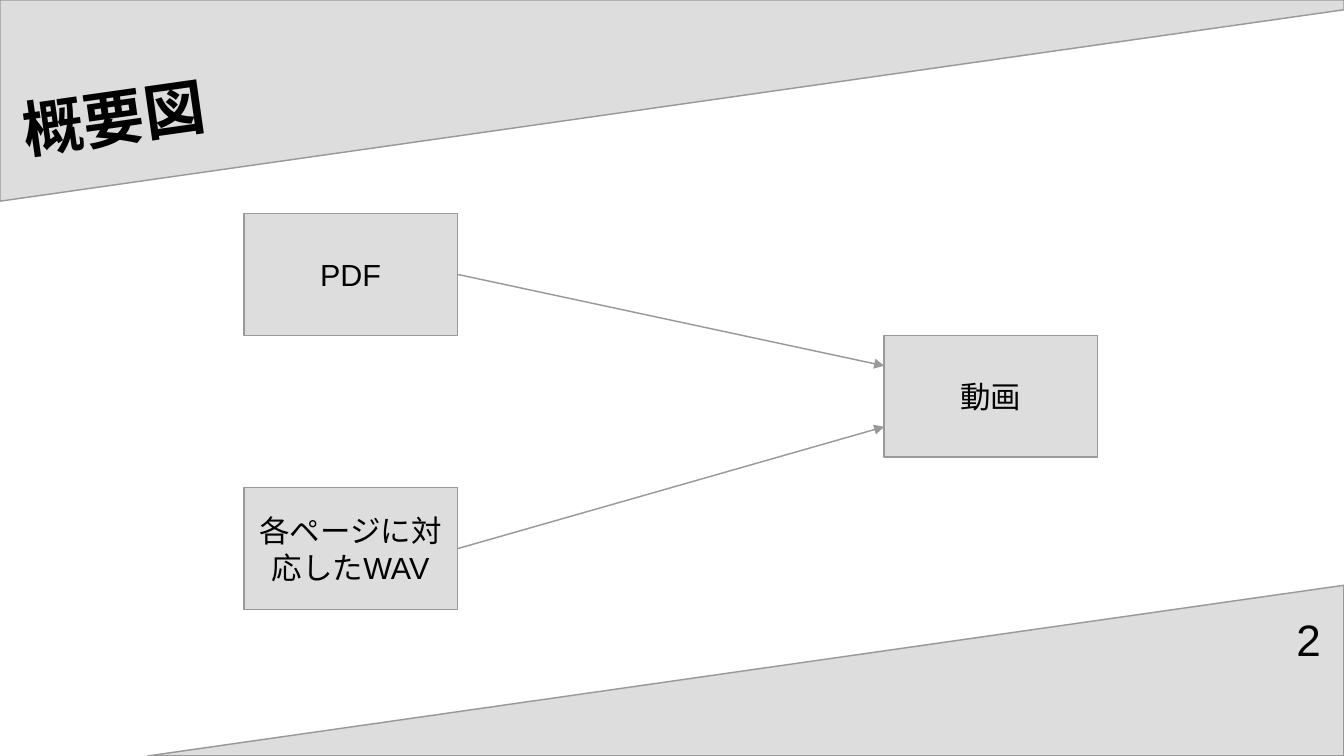
from lxml.etree import SubElement
from pptx import Presentation
from pptx.dml.color import RGBColor
from pptx.enum.shapes import MSO_CONNECTOR, MSO_SHAPE
from pptx.enum.text import MSO_ANCHOR, PP_ALIGN
from pptx.oxml.ns import qn
from pptx.util import Inches, Pt

WIDTH, HEIGHT = 11.02, 6.2
UNIT = 0.25  # grid step in inches
BOX = (7, 4)  # columns and rows of a box
RIGHT = 3
COLORS = {"fill": "DDDDDD", "line": "999999", "text": "000000"}


def color(name):
    return RGBColor.from_string(COLORS[name])


def grid(*cells):
    return [Inches(cell * UNIT) for cell in cells]


def outline(line):
    line.color.rgb = color("line")
    line.width = Pt(0.85)


def paint(shape):
    shape.shadow.inherit = False
    shape.fill.solid()
    shape.fill.fore_color.rgb = color("fill")
    outline(shape.line)


def write(frame, text, size, align, anchor=MSO_ANCHOR.MIDDLE, bold=False):
    frame.word_wrap = True
    frame.vertical_anchor = anchor
    para = frame.paragraphs[0]
    para.alignment = align
    run = para.add_run()
    run.text = text
    font = run.font
    font.name, font.size, font.bold = "Arial", Pt(size), bold
    font.color.rgb = color("text")


def trim(frame):
    frame.margin_left = frame.margin_right = 0
    frame.margin_top = frame.margin_bottom = 0


def add_band(slide, points):
    """Draw a slanted band; points are shares of the slide's size."""
    spots = [(Inches(x * WIDTH), Inches(y * HEIGHT)) for x, y in points]
    form = slide.shapes.build_freeform(*spots[0])
    form.add_line_segments(spots[1:], close=True)
    paint(form.convert_to_shape())


def add_title(slide, text):
    title = slide.shapes.title
    title.left, title.top = Inches(0.14), Inches(-0.15)
    title.width, title.height = Inches(9.84), Inches(1.04)
    title.rotation = 351.9
    trim(title.text_frame)
    write(title.text_frame, text, 36, PP_ALIGN.LEFT, bold=True)


def add_box(slide, text, col, row):
    box = slide.shapes.add_shape(MSO_SHAPE.RECTANGLE, *grid(col, row, *BOX))
    paint(box)
    write(box.text_frame, text, 18, PP_ALIGN.CENTER)
    return box


def add_arrow(slide, box, col, row):
    """Point from the right side of a box to a grid cell."""
    end = grid(col, row)
    arrow = slide.shapes.add_connector(MSO_CONNECTOR.STRAIGHT, *end, *end)
    arrow.begin_connect(box, RIGHT)
    outline(arrow.line)
    props = arrow.line._get_or_add_ln()
    SubElement(props, qn("a:tailEnd"), type="triangle")
    SubElement(arrow._element.spPr, qn("a:effectLst"))


def add_number(slide, text):
    spot = [Inches(n) for n in (8.07, 5.02, 2.76, 0.43)]
    frame = slide.shapes.add_textbox(*spot).text_frame
    trim(frame)
    write(frame, text, 26, PP_ALIGN.RIGHT, MSO_ANCHOR.TOP)


def main():
    deck = Presentation()
    deck.slide_width, deck.slide_height = Inches(WIDTH), Inches(HEIGHT)
    slide = deck.slides.add_slide(deck.slide_layouts[5])

    add_band(slide, [(0.11, 1), (1, 1), (1, 4.8 / HEIGHT)])
    add_band(slide, [(0, 1.65 / HEIGHT), (0, 0), (1, 0), (1, 0.08 / HEIGHT)])
    # Bring the title in front of the bands
    title = slide.shapes.title._element
    title.getparent().append(title)
    add_title(slide, "概要図")

    for text, row, end in (("PDF", 7, 12), ("各ページに対応したWAV", 16, 14)):
        box = add_box(slide, text, 8, row)
        add_arrow(slide, box, 29, end)
    add_box(slide, "動画", 29, 11)
    add_number(slide, "2")

    deck.save("out.pptx")


if __name__ == "__main__":
    main()
